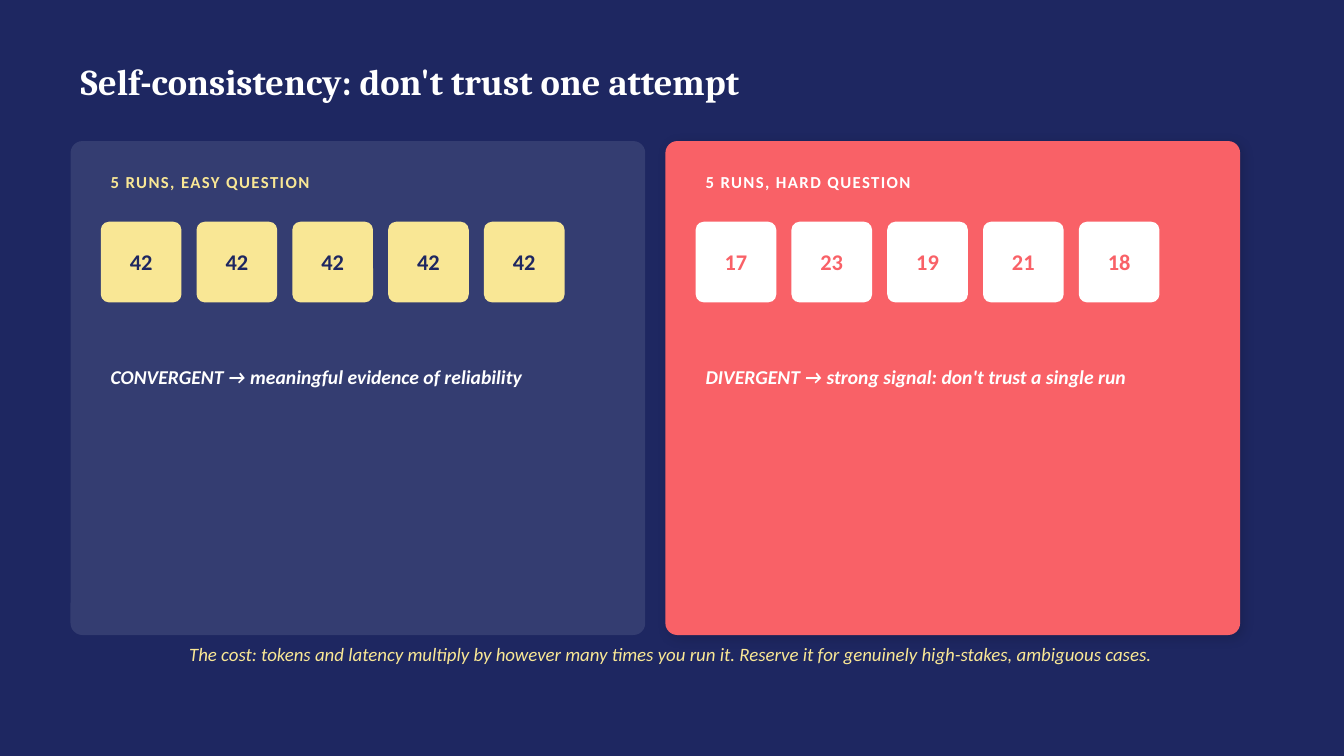
"""Build the self-consistency slide: five convergent runs beside five divergent ones."""
from lxml import etree
from pptx import Presentation
from pptx.dml.color import RGBColor
from pptx.enum.shapes import MSO_SHAPE
from pptx.enum.text import MSO_ANCHOR, MSO_AUTO_SIZE, PP_ALIGN
from pptx.oxml import parse_xml
from pptx.oxml.ns import nsdecls, qn
from pptx.util import Inches, Pt

NAVY = RGBColor(0x1E, 0x27, 0x61)
CORAL = RGBColor(0xF9, 0x61, 0x67)
CREAM = RGBColor(0xF9, 0xE7, 0x95)
WHITE = RGBColor(0xFF, 0xFF, 0xFF)

SHADOW = (
    f'<a:outerShdw {nsdecls("a")} blurRad="{Pt(8)}" dist="{Pt(3)}" dir="2700000" '
    'algn="bl" rotWithShape="0"><a:srgbClr val="000000"><a:alpha val="15000"/>'
    '</a:srgbClr></a:outerShdw>'
)


class SlideBuilder:
    heading_font = "Cambria"
    body_font = "Calibri"

    def __init__(self, prs, background):
        self.slide = prs.slides.add_slide(prs.slide_layouts[5])
        self.slide.background.fill.solid()
        self.slide.background.fill.fore_color.rgb = background

    def set_text(self, shape, text, size, color, font=body_font, bold=False, italic=False,
                 align=PP_ALIGN.LEFT, line_spacing=None, tracking=None):
        frame = shape.text_frame
        frame.word_wrap = True
        frame.auto_size = MSO_AUTO_SIZE.NONE
        frame.vertical_anchor = MSO_ANCHOR.MIDDLE
        paragraph = frame.paragraphs[0]
        paragraph.alignment = align
        paragraph.line_spacing = line_spacing
        run = paragraph.add_run()
        run.text = text
        run.font.name = font
        run.font.size = Pt(size)
        run.font.bold = bold
        run.font.italic = italic
        run.font.color.rgb = color
        if tracking:
            run.font._element.set("spc", str(tracking * 100))

    def title(self, text, left, top, width, height):
        title = self.slide.shapes.title
        title.left, title.top = Inches(left), Inches(top)
        title.width, title.height = Inches(width), Inches(height)
        self.set_text(title, text, 26, WHITE, font=self.heading_font, bold=True)

    def text(self, text, left, top, width, height, size, color, **style):
        box = self.slide.shapes.add_textbox(
            Inches(left), Inches(top), Inches(width), Inches(height))
        self.set_text(box, text, size, color, **style)

    def card(self, left, top, width, height, fill, rounding, opacity=None, shadow=False):
        card = self.slide.shapes.add_shape(
            MSO_SHAPE.ROUNDED_RECTANGLE,
            Inches(left), Inches(top), Inches(width), Inches(height))
        card.adjustments[0] = rounding
        card.fill.solid()
        card.fill.fore_color.rgb = fill
        card.line.fill.background()
        card.shadow.inherit = False
        properties = card._element.spPr
        if opacity:
            color = properties.find(qn("a:solidFill")).find(qn("a:srgbClr"))
            etree.SubElement(color, qn("a:alpha")).set("val", str(opacity * 1000))
        if shadow:
            properties.find(qn("a:effectLst")).append(parse_xml(SHADOW))
        return card

    def run_panel(self, left, heading, answers, verdict, fill, accent, answer_color,
                  **card_style):
        self.card(left, 1.4, 5.7, 4.9, fill, 0.024, **card_style)
        inner = left + 0.3
        self.text(heading, inner, 1.6, 5.1, 0.4, 12, accent, bold=True, tracking=1)
        for i, answer in enumerate(answers):
            tile = self.card(inner + i * 0.95, 2.2, 0.8, 0.8, accent, 0.1)
            self.set_text(tile, answer, 16, answer_color, bold=True, align=PP_ALIGN.CENTER)
        self.text(verdict, inner, 3.3, 5, 0.8, 14, WHITE, bold=True, italic=True,
                  line_spacing=1.3)


prs = Presentation()
prs.slide_width, prs.slide_height = Inches(13.33), Inches(7.5)

builder = SlideBuilder(prs, NAVY)
builder.title("Self-consistency: don't trust one attempt", 0.7, 0.45, 11.5, 0.7)
builder.run_panel(
    0.7, "5 RUNS, EASY QUESTION", ["42"] * 5,
    "CONVERGENT → meaningful evidence of reliability",
    WHITE, CREAM, NAVY, opacity=10)
builder.run_panel(
    6.6, "5 RUNS, HARD QUESTION", ["17", "23", "19", "21", "18"],
    "DIVERGENT → strong signal: don't trust a single run",
    CORAL, WHITE, CORAL, shadow=True)
builder.text(
    "The cost: tokens and latency multiply by however many times you run it. "
    "Reserve it for genuinely high-stakes, ambiguous cases.",
    0.7, 5.9, 11.9, 1.1, 13.5, CREAM, italic=True, align=PP_ALIGN.CENTER,
    line_spacing=1.3)

prs.save("out.pptx")
